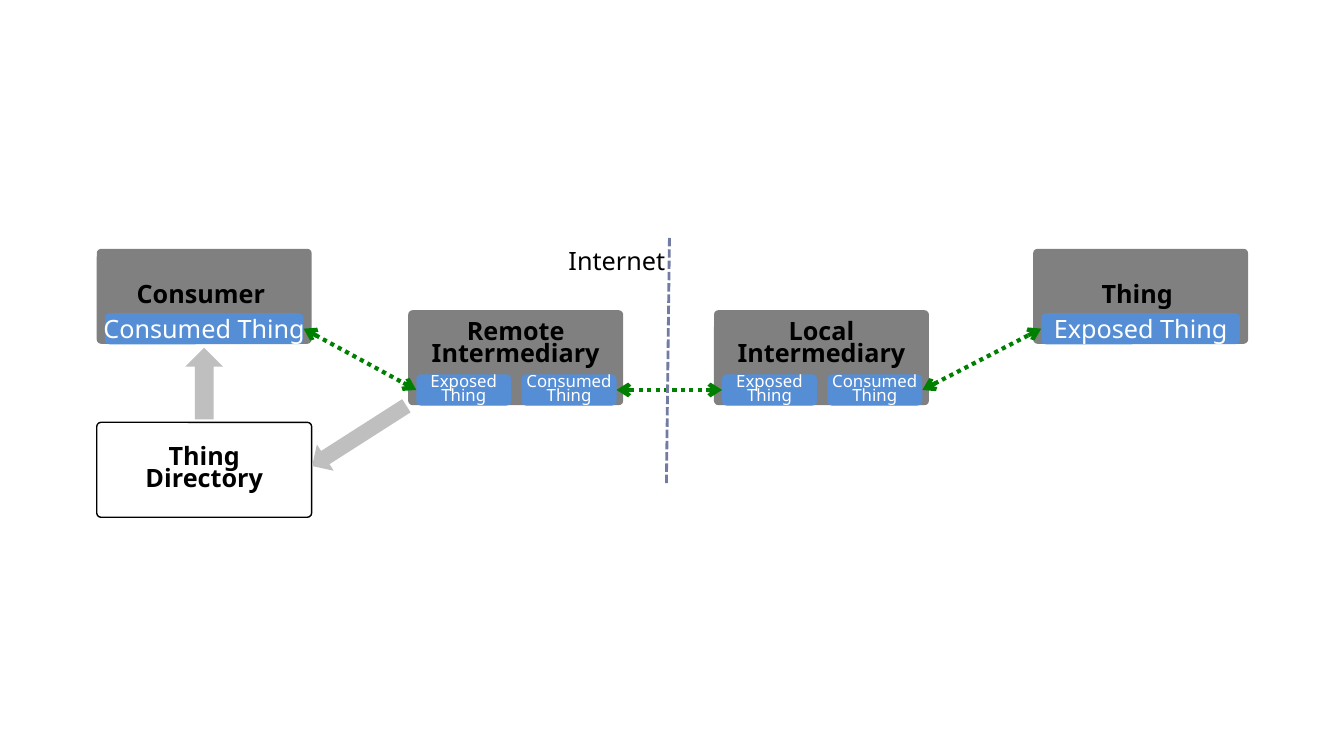
from lxml import etree
from pptx import Presentation
from pptx.dml.color import RGBColor
from pptx.enum.dml import MSO_LINE_DASH_STYLE as Dash
from pptx.enum.shapes import MSO_CONNECTOR as Connector, MSO_SHAPE as Shape
from pptx.enum.text import MSO_ANCHOR as Anchor, PP_ALIGN as Align
from pptx.oxml.ns import qn
from pptx.util import Pt

BLACK = RGBColor(0x00, 0x00, 0x00)
WHITE = RGBColor(0xFF, 0xFF, 0xFF)
GRAY = RGBColor(0x80, 0x80, 0x80)
LIGHT_GRAY = RGBColor(0xBF, 0xBF, 0xBF)
BLUE = RGBColor(0x55, 0x8E, 0xD5)
GREEN = RGBColor(0x00, 0x80, 0x00)
SLATE = RGBColor(0x72, 0x7C, 0xA3)

FONT = "Noto Sans"
NODE_WIDTH, NODE_HEIGHT = 153.5, 67.8
TAG_HEIGHT = 22.3
TAG_TOP = 45.8
TAG_MARGIN = 5.8
TAG_GAP = 7.4
SMALL_TAG_WIDTH = 67.8
WIDE_TAG_WIDTH = NODE_WIDTH - 2 * TAG_MARGIN

OUTER_TOP, INNER_TOP, DIRECTORY_TOP = 177.8, 221.6, 301.7
CONSUMER_LEFT, REMOTE_LEFT, LOCAL_LEFT, THING_LEFT = 69.1, 291.6, 510, 738

NODE_TEXT = {"size": Pt(18), "bold": True}
WIDE_TAG_TEXT = {"size": Pt(18)}
SMALL_TAG_TEXT = {"size": Pt(12)}


def set_all(target, values):
    for name, value in values.items():
        setattr(target, name, value)


def write_lines(shape, lines, color, font, align=Align.CENTER, spacing=1.0):
    """Put one paragraph per line into an unwrapped text frame."""
    frame = shape.text_frame
    frame.word_wrap = False
    for index, line in enumerate(lines):
        paragraph = frame.add_paragraph() if index else frame.paragraphs[0]
        paragraph.text = line
        set_all(paragraph, {"alignment": align, "line_spacing": spacing})
        set_all(paragraph.font, {"name": FONT, **font})
        paragraph.font.color.rgb = color


def add_filled_shape(slide, kind, box, fill, adjustments, outline=None):
    shape = slide.shapes.add_shape(kind, *map(Pt, box))
    shape.shadow.inherit = False
    for index, value in enumerate(adjustments):
        shape.adjustments[index] = value
    shape.fill.solid()
    shape.fill.fore_color.rgb = fill
    if outline is None:
        shape.line.fill.background()
    else:
        shape.line.color.rgb = outline
        shape.line.width = Pt(1)
    return shape


def add_node(slide, left, top, lines, fill=GRAY, outline=None, right=0, bottom=0):
    box = (left, top, NODE_WIDTH, NODE_HEIGHT)
    node = add_filled_shape(slide, Shape.ROUNDED_RECTANGLE, box, fill, [0.045], outline)
    set_all(node.text_frame, {
        "margin_left": 0, "margin_top": 0, "margin_right": Pt(right),
        "margin_bottom": Pt(bottom), "vertical_anchor": Anchor.MIDDLE,
    })
    write_lines(node, lines, BLACK, NODE_TEXT, spacing=0.75)


def add_tag(slide, left, top, width, lines, font, spacing=1.0):
    box = (left, top, width, TAG_HEIGHT)
    tag = add_filled_shape(slide, Shape.ROUNDED_RECTANGLE, box, BLUE, [0.15])
    tag.text_frame.vertical_anchor = Anchor.MIDDLE
    write_lines(tag, lines, WHITE, font, spacing=spacing)
    return tag


def add_endpoint(slide, left, top, name, tag_text):
    """Add a node with one wide tag and return the tag."""
    add_node(slide, left, top, [name], right=4.8)
    return add_tag(slide, left + TAG_MARGIN, top + TAG_TOP, WIDE_TAG_WIDTH,
                   [tag_text], WIDE_TAG_TEXT)


def add_intermediary(slide, left, top, name):
    """Add a node with two small tags and return them, left one first."""
    add_node(slide, left, top, [name, "Intermediary"], bottom=18.4)
    step = SMALL_TAG_WIDTH + TAG_GAP
    return [
        add_tag(slide, left + TAG_MARGIN + index * step, top + TAG_TOP,
                SMALL_TAG_WIDTH, [role, "Thing"], SMALL_TAG_TEXT, 0.7)
        for index, role in enumerate(("Exposed", "Consumed"))
    ]


def add_line(slide, start, end, color, width, dash):
    line = slide.shapes.add_connector(Connector.STRAIGHT, *map(Pt, start + end))
    line.line.color.rgb = color
    set_all(line.line, {"width": Pt(width), "dash_style": dash})
    etree.SubElement(line._element.spPr, qn("a:effectLst"))
    return line


def link_tags(slide, source, target):
    """Join two tags side to side with a two-headed dotted arrow."""
    link = add_line(slide, (0, 0), (0, 0), GREEN, 3, Dash.ROUND_DOT)
    link.begin_connect(source, 3)
    link.end_connect(target, 1)
    outline = link.line._get_or_add_ln()
    for end in ("a:headEnd", "a:tailEnd"):
        etree.SubElement(outline, qn(end), type="arrow")


def add_internet_border(slide, left, top):
    add_line(slide, (left + 79.2, top - 1.4), (left + 77, top + 175.6),
             SLATE, 2, Dash.SQUARE_DOT)
    label = slide.shapes.add_textbox(Pt(left), Pt(top), Pt(84.2), Pt(28.8))
    write_lines(label, ["Internet"], BLACK, {"size": Pt(18)}, Align.LEFT)


def add_directory(slide, left, top):
    """Add the directory with its incoming and outgoing block arrows."""
    add_node(slide, left, top, ["Thing", "Directory"], WHITE, BLACK)
    arrows = (
        ((left + 176.4, top - 30.3, 22.3, 79.9), 57.4),
        ((left + (NODE_WIDTH - 26.8) / 2, top - 53.3, 26.8, 51.1), 180),
    )
    for box, rotation in arrows:
        arrow = add_filled_shape(slide, Shape.DOWN_ARROW, box, LIGHT_GRAY, [0.5, 0.5])
        arrow.rotation = rotation


def main():
    presentation = Presentation()
    presentation.slide_width, presentation.slide_height = Pt(960), Pt(540)
    slide = presentation.slides.add_slide(presentation.slide_layouts[6])

    consumer = add_endpoint(slide, CONSUMER_LEFT, OUTER_TOP, "Consumer", "Consumed Thing")
    remote = add_intermediary(slide, REMOTE_LEFT, INNER_TOP, "Remote")
    local = add_intermediary(slide, LOCAL_LEFT, INNER_TOP, "Local")
    thing = add_endpoint(slide, THING_LEFT, OUTER_TOP, "Thing", "Exposed Thing")

    tags = [consumer, *remote, *local, thing]
    for source, target in zip(tags[::2], tags[1::2]):
        link_tags(slide, source, target)

    add_internet_border(slide, 399, 171.4)
    add_directory(slide, CONSUMER_LEFT, DIRECTORY_TOP)
    presentation.save("out.pptx")


if __name__ == "__main__":
    main()
